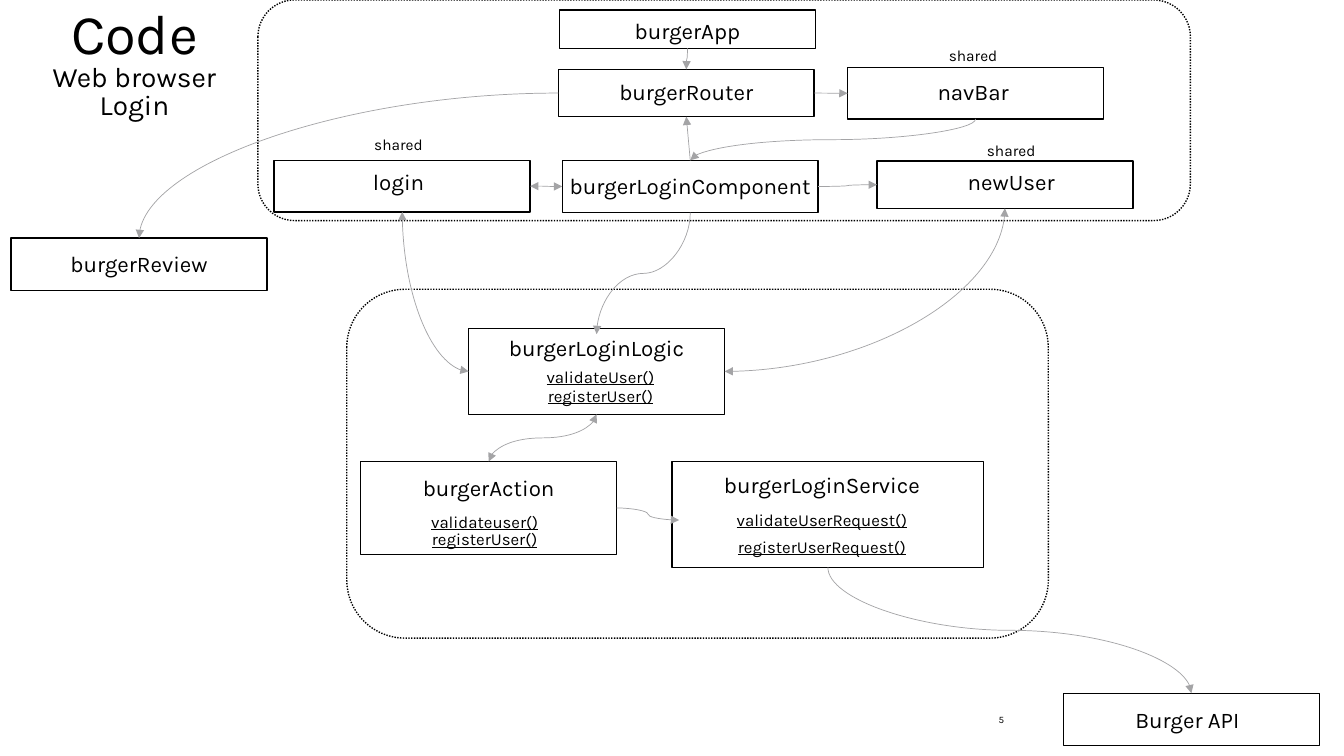
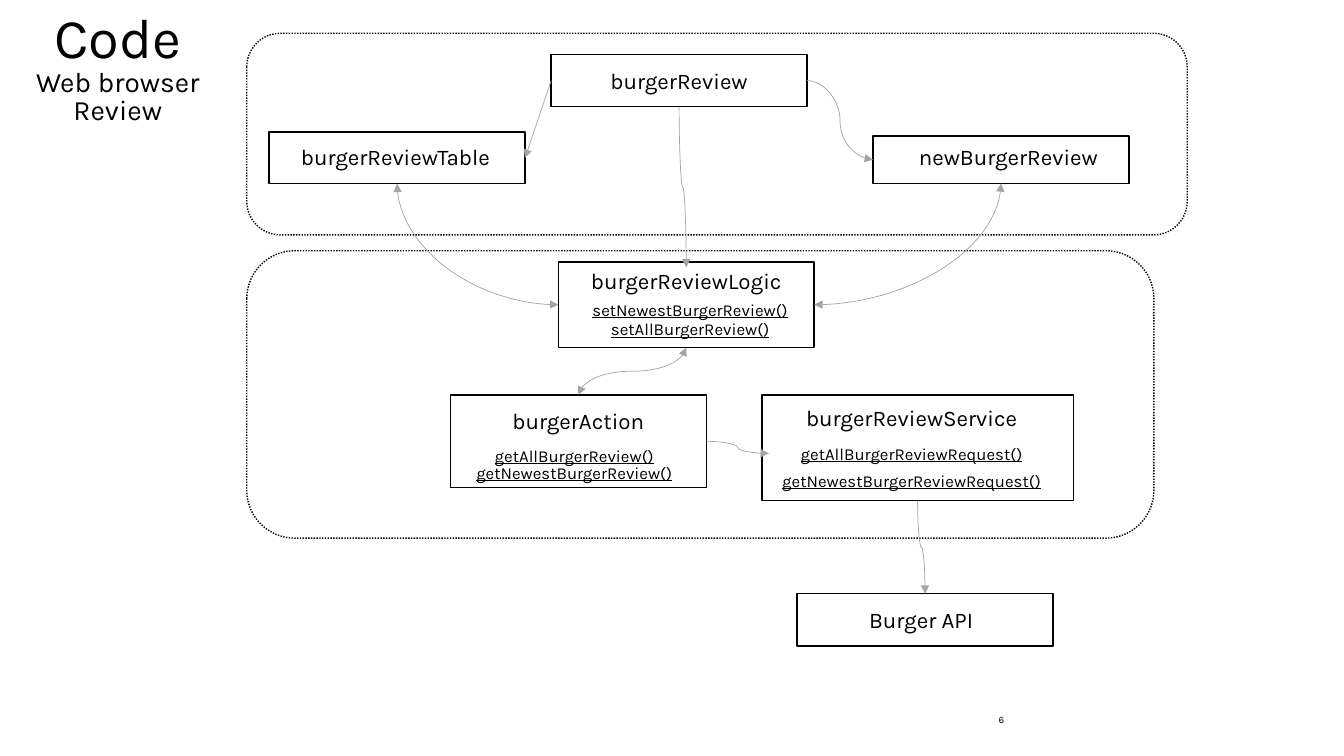
from lxml import etree
from pptx import Presentation
from pptx.dml.color import RGBColor
from pptx.enum.dml import MSO_LINE
from pptx.enum.shapes import MSO_CONNECTOR, MSO_SHAPE
from pptx.enum.text import MSO_ANCHOR, PP_ALIGN
from pptx.oxml.ns import qn
from pptx.util import Cm, Pt

RECTANGLE = MSO_SHAPE.RECTANGLE
ROUNDED = MSO_SHAPE.ROUNDED_RECTANGLE
STRAIGHT = MSO_CONNECTOR.STRAIGHT
CURVE = MSO_CONNECTOR.CURVE
DOTTED = MSO_LINE.ROUND_DOT
CENTER = PP_ALIGN.CENTER
LEFT_ALIGNED = PP_ALIGN.LEFT
ANCHOR_TOP = MSO_ANCHOR.TOP
ANCHOR_BOTTOM = MSO_ANCHOR.BOTTOM
TOP, LEFT, BOTTOM, RIGHT = range(4)

FONT = "Karla"
BLACK, WHITE, GRAY = "000000", "FFFFFF", "A4A4A6"
CARD_WIDTH = 6.45
NAME_WIDTH = 6.2
METHOD_WIDTH = 7.2


def color(value):
    return RGBColor.from_string(value)


class Diagram:
    def __init__(self, deck):
        self.deck = deck
        self.slide = None

    def new_slide(self, title, number, left, top, width):
        self.slide = self.deck.slides.add_slide(self.deck.slide_layouts[6])
        box = self.text(title, left, top, width, 3.6, 20)
        for para in box.text_frame.paragraphs:
            para.line_spacing = 0.83
        box.text_frame.paragraphs[0].runs[0].font.size = Pt(40)
        self.text(number, 25.17, 17.78, 1, 0.5, 7, LEFT_ALIGNED, ANCHOR_BOTTOM)

    def text(self, text, left, top, width, height, size,
             align=CENTER, anchor=ANCHOR_TOP, underline=False):
        box = self.slide.shapes.add_textbox(
            Cm(left), Cm(top), Cm(width), Cm(height))
        frame = box.text_frame
        frame.word_wrap = True
        frame.vertical_anchor = anchor
        frame.margin_left = frame.margin_right = 0
        frame.margin_top = frame.margin_bottom = 0
        frame.text = text
        for para in frame.paragraphs:
            para.alignment = align
            for span in para.runs:
                span.font.name = FONT
                span.font.size = Pt(size)
                span.font.color.rgb = color(BLACK)
                span.font.underline = underline
        return box

    def box(self, left, top, width, height, kind=RECTANGLE):
        shape = self.slide.shapes.add_shape(
            kind, Cm(left), Cm(top), Cm(width), Cm(height))
        shape.shadow.inherit = False
        shape.fill.solid()
        shape.fill.fore_color.rgb = color(WHITE)
        shape.line.color.rgb = color(BLACK)
        shape.line.width = Pt(1)
        return shape

    def frame(self, left, top, width, height):
        self.box(left, top, width, height, ROUNDED).line.dash_style = DOTTED

    def card(self, name, left, top, height, name_top, shift=0,
             width=CARD_WIDTH, shared_top=None):
        """Draw a named box; shift moves its labels off its middle."""
        card = self.box(left, top, width, height)
        middle = left + width / 2 + shift
        label = self.text(name, middle - NAME_WIDTH / 2, top + name_top,
                          NAME_WIDTH, 0.69, 16)
        if shared_top is not None:
            self.text("shared", middle - NAME_WIDTH / 2, top + shared_top,
                      NAME_WIDTH, 0.48, 11)
        return card, label

    def methods(self, names, middle, tops):
        return [self.text(name, middle - METHOD_WIDTH / 2, top,
                          METHOD_WIDTH, 0.51, 12, underline=True)
                for name, top in zip(names, tops)]

    def arrow(self, start, start_side, end, end_side,
              both=False, kind=CURVE):
        link = self.slide.shapes.add_connector(kind, 0, 0, 0, 0)
        link.begin_connect(start, start_side)
        link.end_connect(end, end_side)
        link.line.color.rgb = color(GRAY)
        link.line.width = Pt(0.5)
        properties = link._element.spPr
        line = properties.find(qn("a:ln"))
        for tag in (["a:headEnd"] if both else []) + ["a:tailEnd"]:
            etree.SubElement(line, qn(tag)).set("type", "triangle")
        etree.SubElement(properties, qn("a:effectLst"))
        if kind == CURVE:
            if start_side % 2 != end_side % 2:
                properties.find(qn("a:prstGeom")).set(
                    "prst", "curvedConnector2")
            if start_side == BOTTOM:
                self.turn_down(link)

    def turn_down(self, link):
        """Rotate a curve so that it leaves its start downwards."""
        to_right = link.end_x > link.begin_x
        middle_x = (link.begin_x + link.end_x) // 2
        middle_y = (link.begin_y + link.end_y) // 2
        link.width, link.height = link.height, link.width
        link.left = middle_x - link.width // 2
        link.top = middle_y - link.height // 2
        transform = link._element.spPr.find(qn("a:xfrm"))
        transform.set("rot", "16200000" if to_right else "5400000")
        transform.set("flipH", "1" if to_right else "0")
        transform.set("flipV", "0")

    def logic_layer(self, left, top, logic_name, logic_methods,
                    action_methods, service_name, service_methods):
        """Draw the logic, action and service cards and their arrows."""
        lower = top + 3.35
        action_left, service_left, service_width = left - 2.72, left + 5.13, 7.85
        half = CARD_WIDTH / 2
        logic, logic_label = self.card(logic_name, left, top, 2.16, 0.14)
        self.methods(logic_methods, left + half + 0.1, (top + 0.95, top + 1.44))
        action, _ = self.card("burgerAction", action_left, lower, 2.34, 0.31)
        self.methods(action_methods, action_left + half - 0.1,
                     (lower + 1.27, lower + 1.7))
        service, _ = self.card(service_name, service_left, lower, 2.67, 0.23,
                               -0.15, service_width)
        request, _ = self.methods(
            service_methods, service_left + service_width / 2 - 0.15,
            (lower + 1.22, lower + 1.9))
        self.arrow(logic, BOTTOM, action, TOP, both=True)
        self.arrow(action, RIGHT, request, LEFT)
        return logic, logic_label, service

    def api(self, left, top, service):
        card, _ = self.card("Burger API", left, top, 1.32, 0.32, -0.1)
        self.arrow(service, BOTTOM, card, TOP)


def login_slide(diagram):
    diagram.new_slide("Code\nWeb browser\nLogin", "5", 0.28, 0.25, 6.22)
    diagram.frame(6.5, 0, 23.5, 5.56)
    diagram.frame(8.74, 7.29, 17.68, 8.79)
    app, _ = diagram.card("burgerApp", 14.1, 0.25, 0.97, 0.18)
    router, _ = diagram.card("burgerRouter", 14.07, 1.75, 1.19, 0.23)
    nav_bar, _ = diagram.card("navBar", 21.36, 1.7, 1.3, 0.28, -0.06,
                              shared_top=-0.53)
    login, _ = diagram.card("login", 6.91, 4.04, 1.3, 0.2, -0.09,
                            shared_top=-0.64)
    component, _ = diagram.card("burgerLoginComponent", 14.17, 4.04, 1.32, 0.3)
    new_user, _ = diagram.card("newUser", 22.1, 4.06, 1.19, 0.18, 0.16,
                               shared_top=-0.51)
    review, _ = diagram.card("burgerReview", 0.28, 6, 1.32, 0.3)
    logic, logic_label, service = diagram.logic_layer(
        11.81, 8.28, "burgerLoginLogic", ("validateUser()", "registerUser()"),
        ("validateuser()", "registerUser()"), "burgerLoginService",
        ("validateUserRequest()", "registerUserRequest()"))
    diagram.api(26.8, 17.47, service)
    diagram.arrow(app, BOTTOM, router, TOP)
    diagram.arrow(router, RIGHT, nav_bar, LEFT, kind=STRAIGHT)
    diagram.arrow(router, LEFT, review, TOP)
    diagram.arrow(nav_bar, BOTTOM, component, TOP)
    diagram.arrow(component, TOP, router, BOTTOM, kind=STRAIGHT)
    diagram.arrow(login, RIGHT, component, LEFT, both=True)
    diagram.arrow(component, RIGHT, new_user, LEFT)
    diagram.arrow(component, BOTTOM, logic_label, TOP)
    diagram.arrow(login, BOTTOM, logic, LEFT, both=True)
    diagram.arrow(new_user, BOTTOM, logic, RIGHT, both=True)


def review_slide(diagram):
    diagram.new_slide("Code\nWeb browser\nReview", "6", 0, 0.36, 5.94)
    diagram.frame(6.22, 6.32, 22.86, 7.24)
    diagram.frame(6.22, 0.84, 23.7, 5.08)
    review, _ = diagram.card("burgerReview", 13.89, 1.37, 1.32, 0.32)
    table, _ = diagram.card("burgerReviewTable", 6.78, 3.33, 1.3, 0.28, -0.04)
    new_review, _ = diagram.card("newBurgerReview", 22, 3.43, 1.19, 0.18, 0.19)
    logic, logic_label, service = diagram.logic_layer(
        14.07, 6.6, "burgerReviewLogic",
        ("setNewestBurgerReview()", "setAllBurgerReview()"),
        ("getAllBurgerReview()", "getNewestBurgerReview()"),
        "burgerReviewService",
        ("getAllBurgerReviewRequest()", "getNewestBurgerReviewRequest()"))
    diagram.api(20.09, 14.96, service)
    diagram.arrow(review, LEFT, table, RIGHT, kind=STRAIGHT)
    diagram.arrow(review, RIGHT, new_review, LEFT)
    diagram.arrow(review, BOTTOM, logic_label, TOP)
    diagram.arrow(table, BOTTOM, logic, LEFT, both=True)
    diagram.arrow(new_review, BOTTOM, logic, RIGHT, both=True)


def main():
    deck = Presentation()
    deck.slide_width, deck.slide_height = Cm(33.87), Cm(19.05)
    diagram = Diagram(deck)
    login_slide(diagram)
    review_slide(diagram)
    deck.save("out.pptx")


if __name__ == "__main__":
    main()
